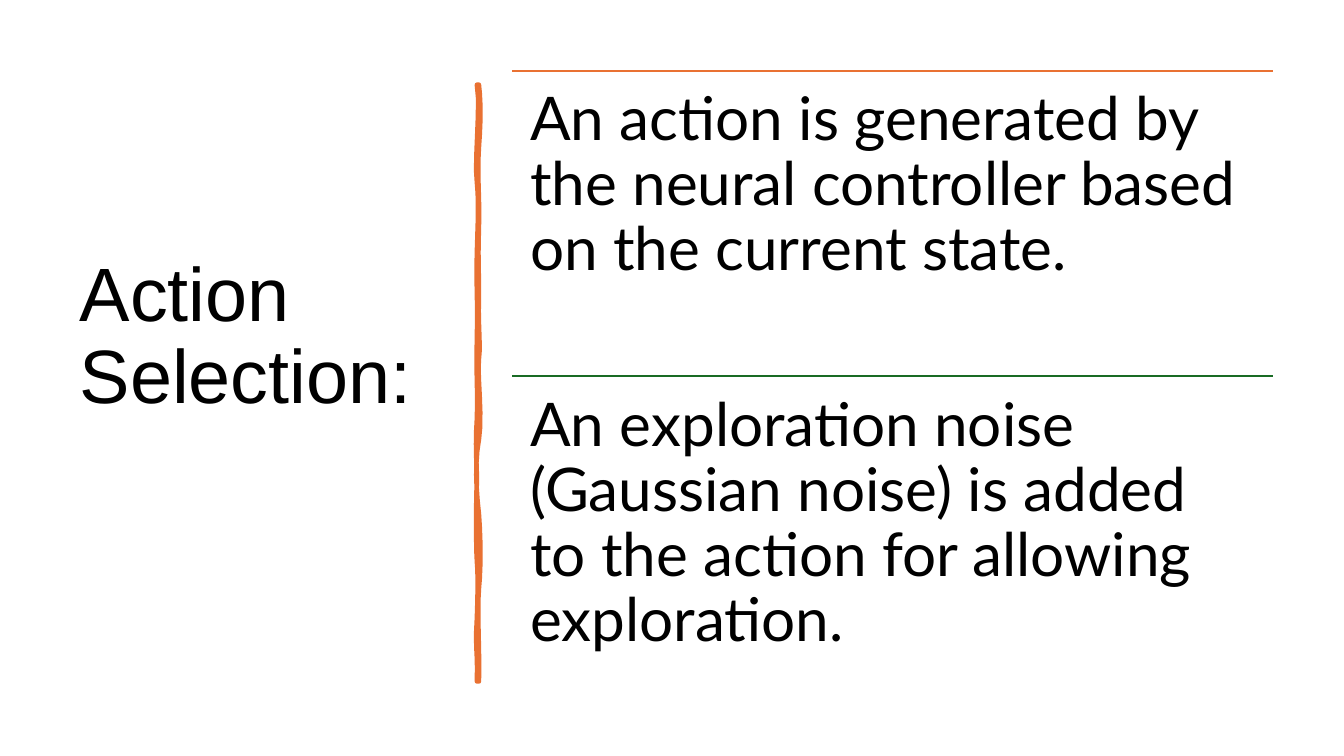
from dataclasses import dataclass
from lxml import etree
from pptx import Presentation
from pptx.dml.color import RGBColor
from pptx.enum.shapes import MSO_CONNECTOR
from pptx.enum.text import MSO_ANCHOR, MSO_AUTO_SIZE, PP_ALIGN
from pptx.oxml.ns import qn
from pptx.util import Inches, Pt

STRAIGHT = MSO_CONNECTOR.STRAIGHT
TOP, MIDDLE = MSO_ANCHOR.TOP, MSO_ANCHOR.MIDDLE
LEFT = PP_ALIGN.LEFT
FIXED = MSO_AUTO_SIZE.NONE
COLS, ROWS = 1333, 750
STEPS = 6

POINTS = [
    ("An action is generated by the neural controller based on the current state.", "E97132"),
    ("An exploration noise (Gaussian noise) is added to the action for allowing exploration.", "196B24"),
]
BAR = [
    (475, 84), (477, 102), (477, 119), (475, 146), (473, 173), (476, 195), (475, 226),
    (474, 257), (475, 262), (475, 294), (474, 325), (477, 342), (475, 356),
    (473, 370), (479, 414), (475, 436), (471, 457), (472, 484), (475, 510),
    (477, 536), (477, 564), (475, 584), (473, 603), (476, 650), (475, 676),
    (474, 676), (473, 676), (473, 676), (474, 646), (471, 644), (473, 613),
    (474, 583), (474, 570), (473, 557), (472, 544), (472, 495), (473, 477),
    (473, 459), (471, 445), (473, 415), (474, 386), (472, 373), (473, 335),
    (474, 298), (472, 281), (473, 250), (474, 218), (475, 200), (473, 181),
    (470, 163), (477, 104), (473, 84), (474, 84), (474, 84), (475, 84),
]


@dataclass(frozen=True)
class Theme:
    """Colours, fonts and sizes of the slide."""
    ink: str = "000000"
    accent: str = "E97132"
    head: str = "Arial"
    body: str = "Lato"
    big: int = 54
    mid: int = 43
    rule: float = 1.5
    bar: float = 3.25


def bend(knots):
    """Sample a chain of cubic curves as points."""
    for i in range(0, len(knots) - 1, 3):
        a, b, c, d = knots[i:i + 4]
        for step in range(1, STEPS + 1):
            t = step / STEPS
            u = 1 - t
            yield tuple(
                u ** 3 * p + 3 * u * u * t * q + 3 * u * t * t * r + t ** 3 * s
                for p, q, r, s in zip(a, b, c, d)
            )


class Board:
    """Draws styled elements on one slide, placed by grid columns and rows."""

    def __init__(self, deck, theme):
        """Add a title-only slide."""
        self.deck, self.theme = deck, theme
        self.slide = deck.slides.add_slide(deck.slide_layouts[5])

    def at(self, col, row):
        """Turn a grid spot into lengths."""
        return (round(self.deck.slide_width * col / COLS),
                round(self.deck.slide_height * row / ROWS))

    def style(self, frame, text, font, size, anchor):
        """Fill and format a text frame."""
        frame.text = text
        frame.word_wrap = True
        frame.auto_size = FIXED
        frame.vertical_anchor = anchor
        para = frame.paragraphs[0]
        para.alignment = LEFT
        para.line_spacing = 0.9
        for run in para.runs:
            run.font.name = font
            run.font.size = Pt(size)
            run.font.color.rgb = RGBColor.from_string(self.theme.ink)

    def title(self, text, col, row, wide, high, foot):
        """Place the title, lifted by a bottom inset."""
        shape = self.slide.shapes.title
        shape.left, shape.top = self.at(col, row)
        shape.width, shape.height = self.at(wide, high)
        self.style(shape.text_frame, text, self.theme.head, self.theme.big, MIDDLE)
        shape.text_frame.margin_bottom = self.at(0, foot)[1]

    def note(self, text, col, row, wide, high, pad):
        """Add a padded text box."""
        box = self.slide.shapes.add_textbox(*self.at(col, row), *self.at(wide, high))
        frame = box.text_frame
        self.style(frame, text, self.theme.body, self.theme.mid, TOP)
        frame.margin_left = frame.margin_right = self.at(pad, 0)[0]
        frame.margin_top = frame.margin_bottom = self.at(0, pad)[1]

    def rule(self, col, row, wide, color):
        """Add a level line."""
        line = self.slide.shapes.add_connector(
            STRAIGHT, *self.at(col, row), *self.at(col + wide, row))
        line.line.color.rgb = RGBColor.from_string(color)
        line.line.width = Pt(self.theme.rule)
        etree.SubElement(line._element.spPr, qn("a:effectLst"))

    def bar(self, knots):
        """Add a hand-drawn bar along curved edges."""
        pen = self.slide.shapes.build_freeform(*self.at(*knots[0]))
        pen.add_line_segments([self.at(*spot) for spot in bend(knots)], close=True)
        shape = pen.convert_to_shape()
        shape.shadow.inherit = False
        tint = RGBColor.from_string(self.theme.accent)
        shape.fill.solid()
        shape.fill.fore_color.rgb = tint
        shape.line.color.rgb = tint
        shape.line.width = Pt(self.theme.bar)


def main():
    """Build and save the slide."""
    deck = Presentation()
    deck.slide_width, deck.slide_height = Inches(13.33), Inches(7.5)
    board = Board(deck, Theme())
    board.title("Action Selection:", 69, 70, 374, 611, 86)
    board.bar(BAR)
    left, top, wide, high = 508, 70, 755, 303
    for i, (text, color) in enumerate(POINTS):
        row = top + i * high
        board.rule(left, row, wide, color)
        board.note(text, left, row, wide, high, 18)
    deck.save("out.pptx")


if __name__ == "__main__":
    main()
